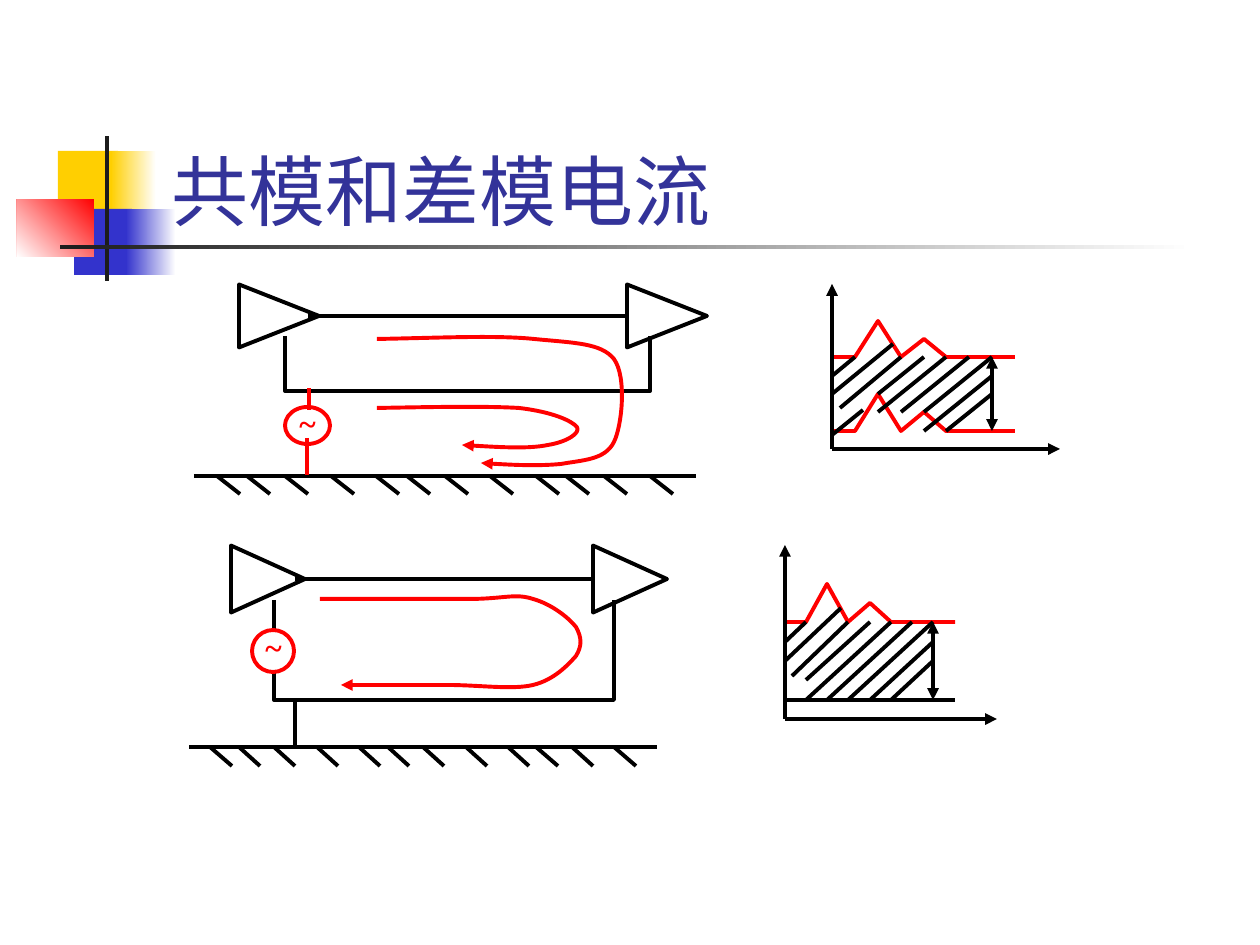
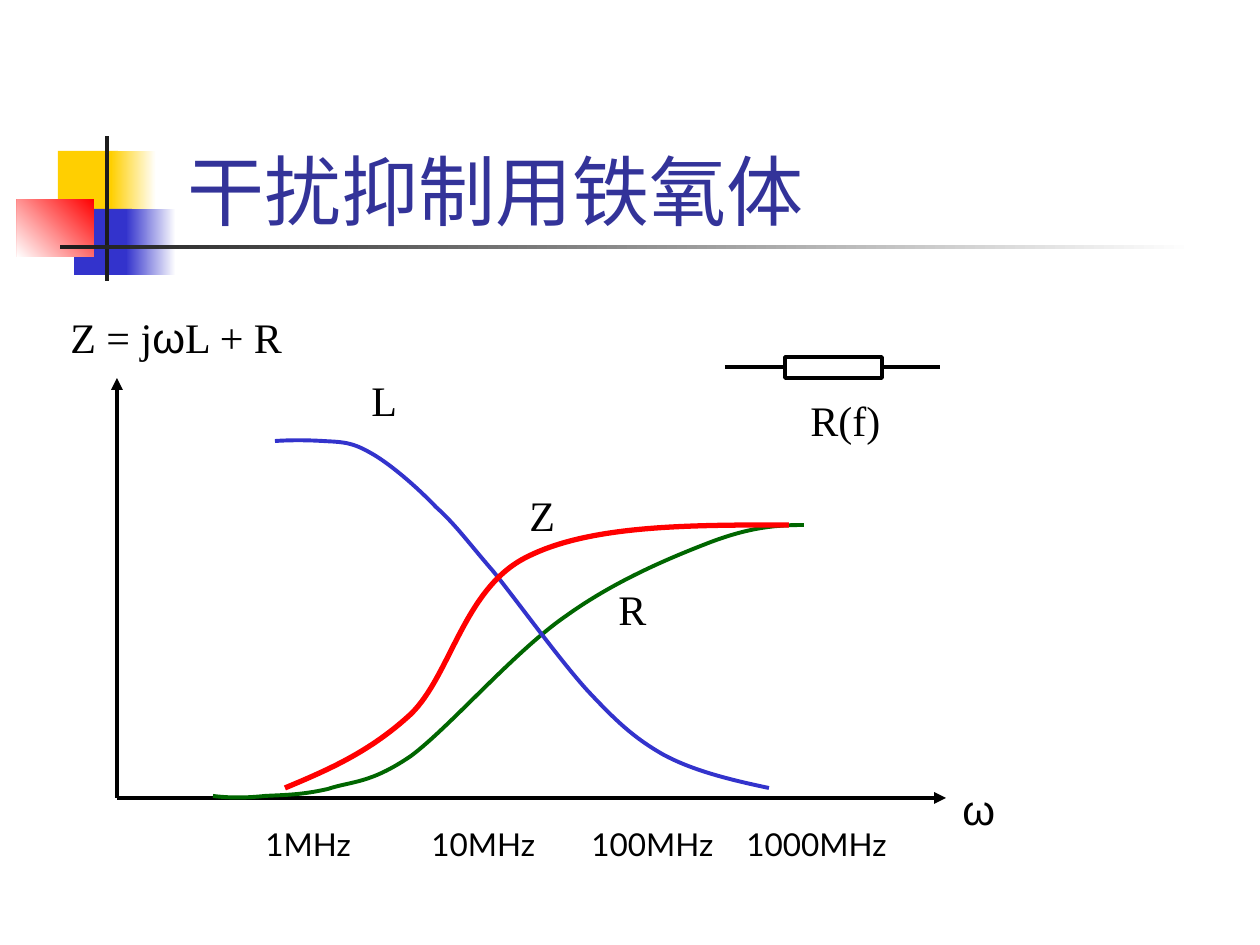
import pptx
import pptx.util
import pptx.dml.color
import pptx.enum.shapes
import pptx.enum.text
import pptx.oxml
import pptx.oxml.ns
import lxml.etree as etree

THEME = dict(
    black="000000", white="FFFFFF", red="FF0000", blue="3333CC", gold="FFCF01",
    green="006600", dark="1C1C1C", title="333399",
    head=44, note=24, small=18, thin=2.24, thick=3,
    sans="Lato", serif="Times New Roman", greek="Arial")

BANDS = [
    ((58, 151, 60, 66), ["gold"], 0),
    ((111, 151, 45, 66), ["white", "gold"], 180),
    ((74, 209, 58, 66), ["blue"], 0),
    ((126, 209, 50, 66), ["white", "blue"], 180),
    ((17, 199, 77, 58), ["red", "white"], 135),
    ((105, 136, 4, 145), ["dark"], 0),
    ((60, 245, 1134, 4), ["white", "dark"], 180)]

TITLES = [("共模和差模电流", 159), ("干扰抑制用铁氧体", 175)]

TICKS = [3, 7, 12, 18, 24, 28, 33, 39, 45, 49, 54, 60]
GROUND = 2.9
WAVE = [(84, 0), (87, 0), (90, -4), (93, 0), (96, -2), (99, 0), (102, 0), (108, 0)]
HATCH = [
    (87, -10, 84, -8), (92, -11.5, 84, -6), (93, -10, 85, -4.5),
    (105, -8, 96, -2), (105, -6, 99, -2)]

FIGS = [
    dict(
        base=(194, 449), unit=(7.6, 9.17), waves=[-10, -2],
        hatch=[(88, -4.3, 84, -1.5), (96, -10, 90, -6), (99, -10, 90, -4),
               (102, -10, 93, -4), (105, -10, 96, -4)],
        loop=-6.3, stems=[], floor=[],
        source=(285, 407, 45, 37), sign=(287, 398),
        leads=[(307, 438, 307, 475), (309, 388, 309, 410)],
        flows=[
            [(377, 339), (436, 338), (495, 335), (534, 339), (575, 343),
             (601, 343), (614, 359), (627, 377), (622, 426), (614, 442),
             (605, 460), (583, 460), (561, 464), (539, 466), (510, 465),
             (481, 463)],
            [(377, 408), (431, 407), (486, 406), (519, 408), (553, 412),
             (572, 421), (577, 427), (581, 433), (567, 442), (548, 445),
             (529, 449), (495, 447), (462, 445)]]),
    dict(
        base=(189, 719), unit=(7.09, 9.66), waves=[-10],
        hatch=[(96, -10, 87, -4), (99, -10, 87, -2), (102, -10, 90, -2),
               (105, -10, 93, -2)],
        loop=-2, stems=[(15, -2, 15, GROUND)], floor=[(84, -2, 108, -2)],
        source=(252, 630, 42, 42), sign=(253, 622), leads=[],
        flows=[
            [(320, 599), (377, 599), (433, 599), (469, 599), (504, 599),
             (515, 593), (533, 599), (551, 604), (568, 617), (576, 627),
             (582, 638), (582, 646), (576, 656), (568, 665), (554, 680),
             (533, 685), (512, 690), (480, 685), (447, 685), (416, 685),
             (379, 685), (341, 685)]])]

PLOTS = [
    ("green", "thin",
     [(213, 796), (229, 798), (246, 798), (265, 796), (284, 795), (302, 795),
      (328, 789), (352, 781), (370, 784), (411, 756), (450, 727), (515, 651),
      (566, 616), (616, 580), (672, 557), (711, 542), (751, 527), (777, 525),
      (804, 525)]),
    ("blue", "thin",
     [(275, 441), (290, 440), (306, 440), (323, 441), (338, 442), (350, 441),
      (369, 452), (388, 462), (416, 486), (436, 507), (456, 525), (467, 541),
      (493, 571), (518, 602), (559, 659), (587, 690), (616, 721), (634, 738),
      (664, 755), (694, 771), (731, 780), (769, 788)]),
    ("red", "thick",
     [(285, 788), (328, 770), (370, 752), (411, 714), (451, 675), (464, 588),
      (527, 557), (590, 525), (689, 525), (789, 525)])]

LABELS = [
    ((58, 305, 320, 63), [("Z = j", "serif"), ("ω", "greek"), ("L + R", "serif")]),
    ((950, 777, 68, 63), [("ω", "greek")]),
    ((606, 577, 68, 63), [("R", "serif")]),
    ((517, 483, 68, 63), [("Z", "serif")]),
    ((359, 368, 68, 63), [("L", "serif")]),
    ((798, 388, 107, 63), [("R(f)", "serif")])]
SCALE = [("1MHz", 0), ("10MHz", 166), ("100MHz", 326), ("1000MHz", 481)]

PX = 914400 / 126
KIND = pptx.enum.shapes.MSO_SHAPE
ANCHOR = pptx.enum.text.MSO_ANCHOR
FIT = pptx.enum.text.MSO_AUTO_SIZE


def emu(*nums):
    return [round(n * PX) for n in nums]


def tint(name):
    return pptx.dml.color.RGBColor.from_string(THEME[name])


def stroke(obj, color="black", width="thin", head=False, tail=False):
    obj.line.color.rgb = tint(color)
    obj.line.width = pptx.util.Pt(THEME[width])
    pen = obj.line._get_or_add_ln()
    for tag, on in (("a:headEnd", head), ("a:tailEnd", tail)):
        if on:
            end = etree.SubElement(pen, pptx.oxml.ns.qn(tag))
            end.set("type", "triangle")


def line(slide, ends, **pen):
    link = slide.shapes.add_connector(
        pptx.enum.shapes.MSO_CONNECTOR.STRAIGHT, *emu(*ends))
    stroke(link, **pen)
    etree.SubElement(link._element.spPr, pptx.oxml.ns.qn("a:effectLst"))


def shape(slide, kind, box, color=None):
    item = slide.shapes.add_shape(kind, *emu(*box))
    item.shadow.inherit = False
    item.fill.solid()
    item.fill.fore_color.rgb = tint("white")
    if color:
        stroke(item, color)
    else:
        item.line.fill.background()
    return item


def trace(slide, dots, curve=False, **pen):
    form = slide.shapes.build_freeform(*dots[0], scale=PX)
    form.add_line_segments(dots[1:], close=False)
    item = form.convert_to_shape()
    item.shadow.inherit = False
    item.fill.background()
    stroke(item, **pen)
    if curve:
        route = item._element.xpath(".//a:path")[0]
        steps = route.findall(pptx.oxml.ns.qn("a:lnTo"))
        for i in range(0, len(steps), 3):
            bend = etree.SubElement(route, pptx.oxml.ns.qn("a:cubicBezTo"))
            for step in steps[i:i + 3]:
                bend.append(step[0])
                route.remove(step)


def text(slide, box, runs, size, color="black", bold=False, gap=0, anchor=ANCHOR.TOP):
    item = slide.shapes.add_textbox(*emu(*box))
    frame = item.text_frame
    frame.word_wrap = True
    frame.vertical_anchor = anchor
    if gap:
        frame.auto_size = FIT.SHAPE_TO_FIT_TEXT
    para = frame.paragraphs[0]
    para.space_before = pptx.util.Pt(gap)
    for word, face in runs:
        run = para.add_run()
        run.text = word
        run.font.name = THEME[face]
        run.font.size = pptx.util.Pt(THEME[size])
        run.font.bold = bold
        run.font.color.rgb = tint(color)
    return para


def page(deck, title, left):
    slide = deck.slides.add_slide(deck.slide_layouts[6])
    for box, hues, turn in BANDS:
        band = shape(slide, KIND.RECTANGLE, box)
        if len(hues) == 1:
            band.fill.fore_color.rgb = tint(hues[0])
        else:
            band.fill.gradient()
            band.fill.gradient_angle = 360 - turn
            for stop, hue in zip(band.fill.gradient_stops, hues):
                stop.color.rgb = tint(hue)
    text(slide, (left, 84, 1074, 158), [(title, "sans")], "head", "title",
         anchor=ANCHOR.BOTTOM)
    return slide


def figure(slide, fig):
    (x0, y0), (ux, uy) = fig["base"], fig["unit"]

    def at(x, y):
        return round(x0 + x * ux), round(y0 + y * uy)

    def rule(ends, **pen):
        line(slide, at(*ends[:2]) + at(*ends[2:]), **pen)

    for level in fig["waves"]:
        trace(slide, [at(x, y + level) for x, y in WAVE], color="red")
    for ends in HATCH + fig["hatch"] + fig["floor"]:
        rule(ends)
    rule((84, 0, 84, -18), tail=True)
    rule((84, 0, 114, 0), tail=True)
    rule((105, -10, 105, -2), head=True, tail=True)

    wide, high = round(10.5 * ux), round(6.9 * uy)
    for mid in (11.2, 62.2):
        cx, cy = at(mid, -14.5)
        gate = shape(slide, KIND.ISOSCELES_TRIANGLE,
                     (cx - high / 2, cy - wide / 2, high, wide), "black")
        gate.rotation = 90
    rule((15, -14.5, 57, -14.5))
    low = fig["loop"]
    trace(slide, [at(12, -12.3), at(12, low), at(60, low), at(60, -12.3)])

    rule((0, GROUND, 66, GROUND))
    for tick in TICKS:
        rule((tick, GROUND, tick + 3, GROUND + 2))
    for ends in fig["stems"]:
        rule(ends)

    shape(slide, KIND.OVAL, fig["source"], "red")
    for ends in fig["leads"]:
        line(slide, ends, color="red")
    text(slide, fig["sign"] + (68, 73), [("~", "serif")], "small", "red", True)
    for dots in fig["flows"]:
        trace(slide, dots, True, color="red", tail=True)


def chart(slide):
    line(slide, (117, 798, 117, 378), tail=True)
    line(slide, (117, 798, 946, 798), tail=True)
    for color, width, dots in PLOTS:
        trace(slide, dots, True, color=color, width=width)
    for box, runs in LABELS:
        text(slide, box, runs, "note", gap=15)
    shape(slide, KIND.RECTANGLE, (785, 357, 97, 21), "black")
    for left in (725, 882):
        line(slide, (left, 367, left + 58, 367))
    words = "\t".join(word for word, _ in SCALE)
    para = text(slide, (253, 819, 662, 50), [(words, "sans")], "small", gap=11.2)
    tabs = etree.SubElement(para._p.get_or_add_pPr(), pptx.oxml.ns.qn("a:tabLst"))
    for _, stop in SCALE[1:]:
        tab = etree.SubElement(tabs, pptx.oxml.ns.qn("a:tab"))
        tab.set("pos", str(round(stop * PX)))
        tab.set("algn", "l")


deck = pptx.Presentation()
deck.slide_width, deck.slide_height = emu(1260, 945)
first, second = [page(deck, *item) for item in TITLES]
for fig in FIGS:
    figure(first, fig)
chart(second)
deck.save("out.pptx")
